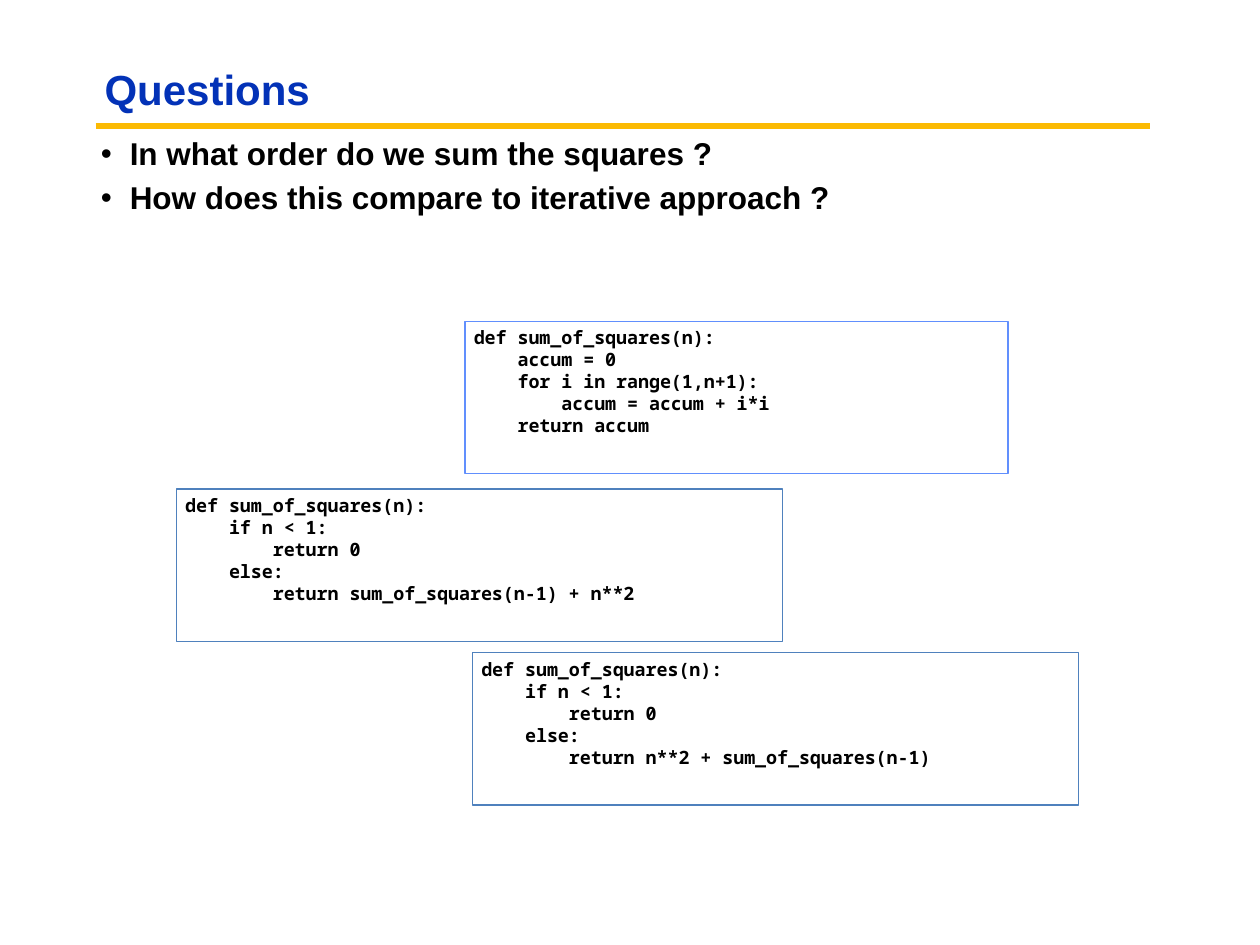
from lxml import etree
from pptx import Presentation
from pptx.dml.color import RGBColor
from pptx.enum.shapes import MSO_CONNECTOR, MSO_SHAPE
from pptx.enum.text import MSO_ANCHOR, MSO_AUTO_SIZE, PP_ALIGN
from pptx.oxml.ns import qn
from pptx.util import Inches, Pt

BLACK = "000000"
QUESTIONS = [
    "In what order do we sum the squares ?",
    "How does this compare to iterative approach ?",
]
ITERATIVE = """def sum_of_squares(n):
    accum = 0
    for i in range(1,n+1):
        accum = accum + i*i
    return accum"""
RECURSIVE = """def sum_of_squares(n):
    if n < 1:
        return 0
    else:
        return """


def color(hex_value):
    return RGBColor.from_string(hex_value)


def set_frame(frame, side_inset, anchor=MSO_ANCHOR.TOP):
    frame.word_wrap = True
    frame.auto_size = MSO_AUTO_SIZE.NONE
    frame.vertical_anchor = anchor
    frame.margin_left = frame.margin_right = Inches(side_inset)
    frame.margin_top = frame.margin_bottom = Inches(0.04)


def format_text(frame, font_name, size, hex_value, line_spacing=1.0):
    for paragraph in frame.paragraphs:
        paragraph.alignment = PP_ALIGN.LEFT
        paragraph.line_spacing = line_spacing
        for run in paragraph.runs:
            run.font.name = font_name
            run.font.size = Pt(size)
            run.font.bold = True
            run.font.color.rgb = color(hex_value)


def add_title(slide, text):
    title = slide.shapes.title
    title.left, title.top = Inches(0.75), Inches(0.43)
    title.width, title.height = Inches(6.31), Inches(0.6)
    title.text_frame.text = text
    set_frame(title.text_frame, 0.08, MSO_ANCHOR.MIDDLE)
    format_text(title.text_frame, "Arial", 24, "0332B7", 0.9)


def add_rule(slide):
    rule = slide.shapes.add_connector(
        MSO_CONNECTOR.STRAIGHT, Inches(0.76), Inches(1), Inches(9.13), Inches(1))
    rule.line.color.rgb = color("FBBA03")
    rule.line.width = Pt(3.75)
    etree.SubElement(rule._element.spPr, qn("a:effectLst"))


def add_bullets(slide, lines):
    box = slide.shapes.add_textbox(
        Inches(0.72), Inches(1.06), Inches(6.25), Inches(0.94))
    frame = box.text_frame
    frame.text = "\n".join(lines)
    set_frame(frame, 0.08)
    format_text(frame, "Arial", 18, BLACK, 0.9)
    for paragraph in frame.paragraphs[1:]:
        paragraph.space_before = Pt(5.4)
    for paragraph in frame.paragraphs:
        properties = paragraph._p.get_or_add_pPr()
        properties.set("marL", str(Inches(0.23)))
        properties.set("indent", str(-Inches(0.23)))
        bullet_color = etree.SubElement(properties, qn("a:buClr"))
        etree.SubElement(bullet_color, qn("a:srgbClr"), val=BLACK)
        etree.SubElement(properties, qn("a:buFont"), typeface="Arial")
        etree.SubElement(properties, qn("a:buChar"), char="•")


def add_code(slide, code, left, top, width, border):
    box = slide.shapes.add_shape(
        MSO_SHAPE.RECTANGLE, Inches(left), Inches(top), Inches(width), Inches(1.21))
    box.shadow.inherit = False
    box.fill.background()
    box.line.color.rgb = color(border)
    box.line.width = Pt(0.75)
    box.text_frame.text = code
    set_frame(box.text_frame, 0.07)
    format_text(box.text_frame, "Noto Sans Mono", 10.5, BLACK)


def main():
    presentation = Presentation()
    presentation.slide_width, presentation.slide_height = Inches(10), Inches(7.5)
    slide = presentation.slides.add_slide(presentation.slide_layouts[5])

    # Heading and questions
    add_rule(slide)
    add_title(slide, "Questions")
    add_bullets(slide, QUESTIONS)

    # Iterative version, then the two recursive orders
    add_code(slide, ITERATIVE, 3.69, 2.55, 4.31, "618FFD")
    add_code(slide, RECURSIVE + "sum_of_squares(n-1) + n**2", 1.4, 3.88, 4.81, "4F81BD")
    add_code(slide, RECURSIVE + "n**2 + sum_of_squares(n-1)", 3.75, 5.18, 4.81, "4F81BD")

    presentation.save("out.pptx")


if __name__ == "__main__":
    main()
